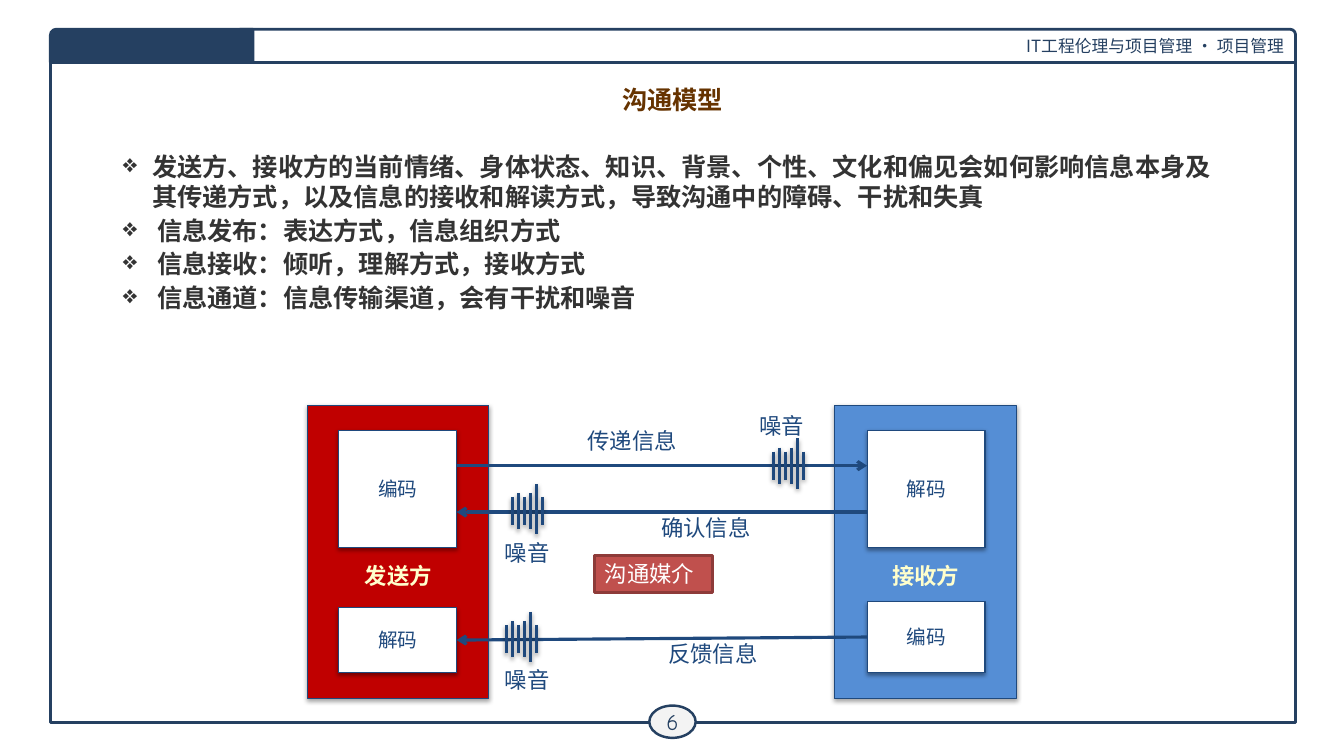
from dataclasses import dataclass

from lxml import etree
from pptx import Presentation
from pptx.dml.color import RGBColor
from pptx.enum.shapes import MSO_CONNECTOR, MSO_SHAPE
from pptx.enum.text import MSO_ANCHOR, PP_ALIGN
from pptx.oxml.ns import qn
from pptx.util import Inches, Pt

RECTANGLE = MSO_SHAPE.RECTANGLE
OVAL = MSO_SHAPE.OVAL
ROUNDED_TAB = MSO_SHAPE.ROUND_1_RECTANGLE
STRAIGHT = MSO_CONNECTOR.STRAIGHT
LEFT, CENTER, RIGHT = PP_ALIGN.LEFT, PP_ALIGN.CENTER, PP_ALIGN.RIGHT
TOP, MIDDLE = MSO_ANCHOR.TOP, MSO_ANCHOR.MIDDLE


@dataclass(frozen=True)
class Theme:
    frame: str = "254061"
    white: str = "FFFFFF"
    page: str = "F3F3F3"
    title: str = "663300"
    body: str = "333333"
    ink: str = "1F497D"
    sender: str = "C00000"
    receiver: str = "558ED5"
    party: str = "FFFFCC"
    medium: str = "C0504D"
    medium_line: str = "8E3B39"
    font: str = "Arial"
    heading_font: str = "TeX Gyre Schola"
    page_font: str = "Comic Neue"
    asian_font: str = "Noto Sans CJK SC"
    small: int = 12
    box: int = 14
    label: int = 16
    heading: int = 18


def format_text(frame, text, *, size, color, font, asian, bold=False, align=LEFT,
                anchor=TOP, wrap=True, margins=(0.1, 0.05, 0.1, 0.05),
                bullet=None, indents=(), space_after=0):
    frame.word_wrap = wrap
    frame.vertical_anchor = anchor
    frame.margin_left, frame.margin_top, frame.margin_right, frame.margin_bottom = map(Inches, margins)
    for index, line in enumerate(text.split("\n")):
        paragraph = frame.paragraphs[0] if index == 0 else frame.add_paragraph()
        paragraph.alignment = align
        if bullet:
            properties = paragraph._p.get_or_add_pPr()
            properties.set("marL", str(Inches(indents[index])))
            properties.set("indent", str(-Inches(indents[index])))
            etree.SubElement(properties, qn("a:buChar"), char=bullet)
            paragraph.line_spacing = 1.0
            paragraph.space_after = Pt(space_after)
        run = paragraph.add_run()
        run.text = line
        run.font.size = Pt(size)
        run.font.bold = bold
        run.font.name = font
        run.font.color.rgb = RGBColor.from_string(color)
        etree.SubElement(run._r.get_or_add_rPr(), qn("a:ea"), typeface=asian)


def add_shadow(properties, opacity):
    effects = properties.find(qn("a:effectLst"))
    if effects is None:
        effects = etree.SubElement(properties, qn("a:effectLst"))
    if opacity:
        shadow = etree.SubElement(effects, qn("a:outerShdw"), blurRad=str(Pt(3.1)),
                                  dist=str(Pt(1.7)), dir="5400000", rotWithShape="0")
        color = etree.SubElement(shadow, qn("a:srgbClr"), val="000000")
        etree.SubElement(color, qn("a:alpha"), val=str(opacity * 1000))


class SlideBuilder:
    def __init__(self, slide, theme):
        self.slide = slide
        self.theme = theme

    def label(self, shape, text, **style):
        defaults = dict(size=self.theme.label, color=self.theme.ink,
                        font=self.theme.font, asian=self.theme.asian_font)
        format_text(shape.text_frame, text, **(defaults | style))

    def shape(self, kind, bounds, fill, line, width, text="", shadow=0, **style):
        shape = self.slide.shapes.add_shape(kind, *map(Inches, bounds))
        shape.shadow.inherit = False
        if fill:
            shape.fill.solid()
            shape.fill.fore_color.rgb = RGBColor.from_string(fill)
        else:
            shape.fill.background()
        shape.line.color.rgb = RGBColor.from_string(line)
        shape.line.width = Pt(width)
        add_shadow(shape._element.spPr, shadow)
        if text:
            self.label(shape, text, **style)
        return shape

    def text(self, bounds, text, **style):
        self.label(self.slide.shapes.add_textbox(*map(Inches, bounds)), text, **style)

    def line(self, start, end, width, arrow=False, shadow=0, shapes=None):
        shapes = self.slide.shapes if shapes is None else shapes
        connector = shapes.add_connector(STRAIGHT, *map(Inches, start + end))
        connector.line.color.rgb = RGBColor.from_string(self.theme.ink)
        connector.line.width = Pt(width)
        if arrow:
            outline = connector._element.spPr.find(qn("a:ln"))
            etree.SubElement(outline, qn("a:tailEnd"), type="arrow")
        add_shadow(connector._element.spPr, shadow)

    def noise(self, left, middle):
        group = self.slide.shapes.add_group_shape()
        short, medium, tall = (0.14, 0.14), (0.18, 0.18), (0.27, 0.23)
        for index, (above, below) in enumerate((short, medium, short, medium, tall, short)):
            x = left + index * 0.06
            self.line((x, middle - above), (x, middle + below), 2, shadow=38, shapes=group.shapes)

    def party(self, left, name, fill):
        self.shape(RECTANGLE, (left, 4.02, 1.8, 2.91), fill, self.theme.ink, 0.75, name, 35,
                   color=self.theme.party, bold=True, align=CENTER, anchor=MIDDLE,
                   margins=(0.1, 0.52, 0.1, 0.05))

    def step(self, left, top, height, name):
        self.shape(RECTANGLE, (left, top, 1.17, height), self.theme.white, self.theme.ink, 0.75,
                   name, 38, size=self.theme.box, align=CENTER, anchor=MIDDLE)


def draw_frame(builder):
    theme = builder.theme
    builder.shape(RECTANGLE, (0.5, 0.5, 12.35, 6.67), None, theme.frame, 2)
    builder.shape(ROUNDED_TAB, (2.38, 0.29, 10.47, 0.33), theme.white, theme.frame, 2,
                  "IT工程伦理与项目管理 · 项目管理", size=theme.small, color=theme.frame,
                  font=theme.asian_font, align=RIGHT, anchor=MIDDLE)
    builder.shape(OVAL, (6.44, 7, 0.46, 0.32), theme.page, theme.frame, 1.75, "6",
                  color=theme.frame, font=theme.page_font, align=CENTER, anchor=MIDDLE,
                  wrap=False, margins=(0.04,) * 4)
    tab = builder.shape(ROUNDED_TAB, (0.5, 0.29, 2.01, 0.33), theme.frame, theme.frame, 2)
    tab.adjustments[0] = 0.175
    tab._element.spPr.find(qn("a:xfrm")).set("flipH", "1")


def draw_text(builder):
    theme = builder.theme
    heading = dict(size=theme.heading, font=theme.heading_font, bold=True)
    builder.text((2.17, 0.84, 9, 0.48), "沟通模型", color=theme.title, align=CENTER,
                 margins=(0.1, 0, 0.1, 0.05), **heading)
    points = (
        "发送方、接收方的当前情绪、身体状态、知识、背景、个性、文化和偏见会如何影响信息本身及其传递方式，以及信息的接收和解读方式，导致沟通中的障碍、干扰和失真",
        "信息发布：表达方式，信息组织方式",
        "信息接收：倾听，理解方式，接收方式",
        "信息通道：信息传输渠道，会有干扰和噪音",
    )
    builder.text((1.12, 1.45, 11.21, 2.36), "\n".join(points), color=theme.body, bullet="❖",
                 indents=(0.29, 0.34, 0.34, 0.34), space_after=2.4, **heading)


def draw_model(builder):
    theme = builder.theme
    sender_left, receiver_left = 3.36, 8.6
    sender_edge = sender_left + 1.17
    builder.party(3.05, "发送方", theme.sender)
    builder.party(8.28, "接收方", theme.receiver)
    builder.step(sender_left, 4.27, 1.16, "编码")
    builder.step(receiver_left, 4.27, 1.16, "解码")
    builder.step(sender_left, 6.03, 0.64, "解码")
    builder.step(receiver_left, 5.97, 0.7, "编码")
    for start, end in (
        ((sender_edge, 4.62), (receiver_left, 4.62)),
        ((receiver_left, 5.08), (sender_edge, 5.08)),
        ((receiver_left, 6.32), (sender_edge, 6.35)),
    ):
        builder.line(start, end, 2.25, arrow=True)
    for left, middle in ((5.02, 6.34), (5.08, 5.07), (7.67, 4.62)):
        builder.noise(left, middle)
    builder.shape(RECTANGLE, (5.9, 5.51, 1.17, 0.37), theme.medium, theme.medium_line, 2,
                  "沟通媒介", color=theme.white)
    for left, top, width, label in (
        (5.73, 4.19, 1.1, "传递信息"),
        (6.46, 5.05, 1.1, "确认信息"),
        (6.53, 6.3, 1.17, "反馈信息"),
        (4.91, 5.3, 0.65, "噪音"),
        (7.43, 4.04, 0.65, "噪音"),
        (4.91, 6.56, 0.65, "噪音"),
    ):
        builder.text((left, top, width, 0.37), label, wrap=False)


def main():
    presentation = Presentation()
    presentation.slide_width = Inches(13.33)
    presentation.slide_height = Inches(7.5)
    slide = presentation.slides.add_slide(presentation.slide_layouts[6])
    builder = SlideBuilder(slide, Theme())
    draw_frame(builder)
    draw_text(builder)
    draw_model(builder)
    presentation.save("out.pptx")


if __name__ == "__main__":
    main()
